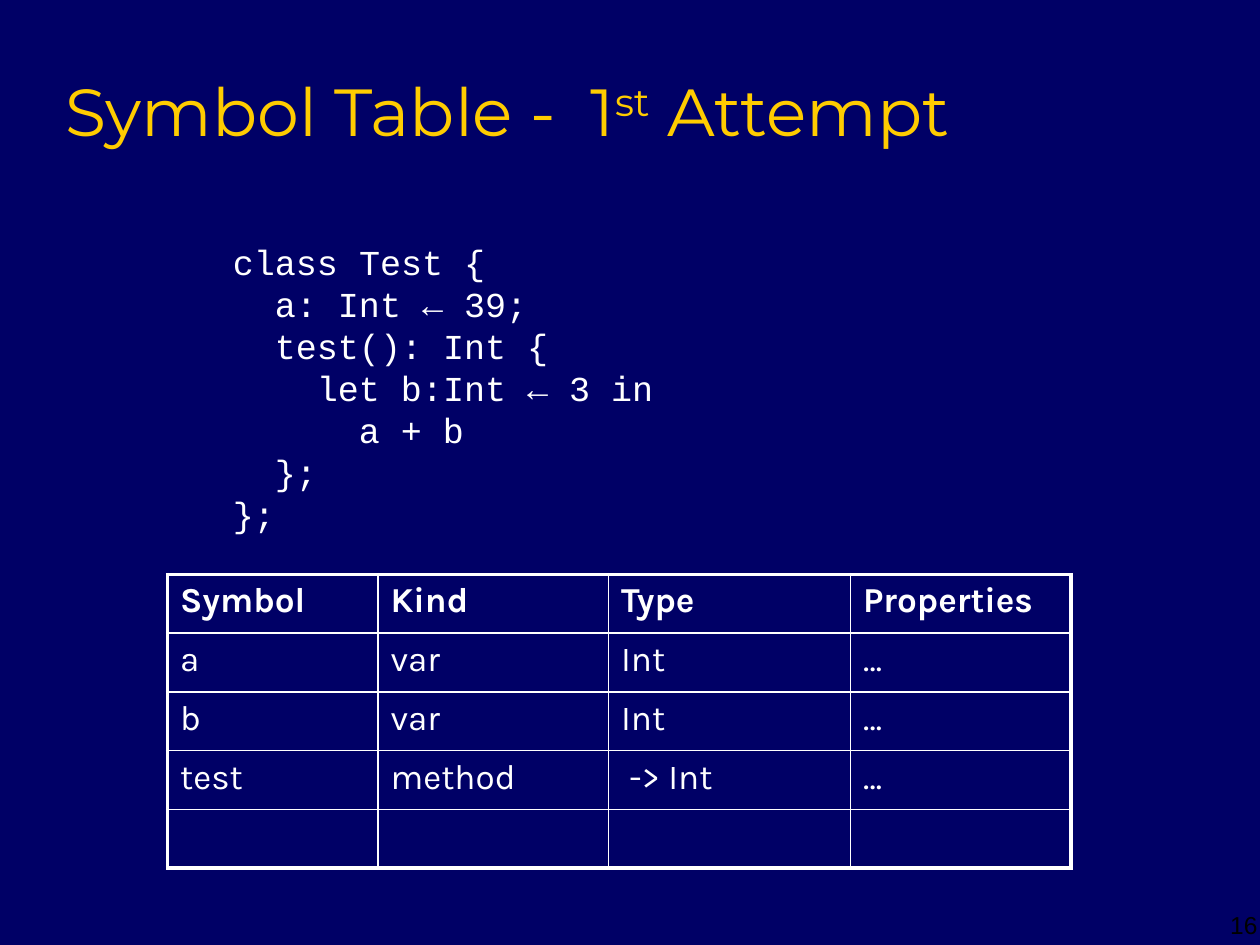
from lxml import etree
from pptx import Presentation
from pptx.dml.color import RGBColor
from pptx.enum.text import MSO_ANCHOR, PP_ALIGN
from pptx.oxml.ns import qn
from pptx.util import Inches, Pt

MIDDLE, TOP = MSO_ANCHOR.MIDDLE, MSO_ANCHOR.TOP
LEFT, RIGHT = PP_ALIGN.LEFT, PP_ALIGN.RIGHT

NAVY = RGBColor(0x00, 0x00, 0x66)
GOLD = RGBColor(0xFF, 0xCC, 0x00)
WHITE = RGBColor(0xFF, 0xFF, 0xFF)
BLACK = RGBColor(0x00, 0x00, 0x00)

# Boxes: left, top, width, height in inches
TITLE_BOX = (0.42, 0.25, 9.31, 1.25)
CODE_BOX = (1.75, 1.82, 6.08, 2.43)
TABLE_BOX = (1.33, 4.56, 7.17, 2.33)
NUMBER_BOX = (9.4, 7.2, 0.58, 0.28)

# Indent level and text of each line of code
CODE = [
    (0, "class Test {"),
    (1, "a: Int ← 39;"),
    (1, "test(): Int {"),
    (2, "let b:Int ← 3 in"),
    (3, "a + b"),
    (1, "};"),
    (0, "};"),
]
INDENT = Pt(24)  # two monospaced characters at 20 pt

COLUMN_WIDTHS = (1.67, 1.83, 1.92, 1.75)
SYMBOLS = [
    ("Symbol", "Kind", "Type", "Properties"),
    ("a", "var", "Int", "…"),
    ("b", "var", "Int", "…"),
    ("test", "method", " -> Int", "…"),
    ("", "", "", ""),
]
OUTER_LINE, INNER_LINE = Pt(2.25), Pt(1)


def add_run(paragraph, text, font_name, size, color, bold=False):
    run = paragraph.add_run()
    run.text = text
    run.font.name = font_name
    run.font.size = Pt(size)
    run.font.color.rgb = color
    run.font.bold = bold
    return run


def add_text_frame(slide, box, anchor=TOP):
    shape = slide.shapes.add_textbox(*map(Inches, box))
    frame = shape.text_frame
    frame.word_wrap = True
    frame.vertical_anchor = anchor
    return frame


def add_title(slide, box):
    paragraph = add_text_frame(slide, box, MIDDLE).paragraphs[0]
    paragraph.alignment = LEFT
    for text, baseline in (("Symbol Table -  1", 0), ("st", 30000), (" Attempt", 0)):
        run = add_run(paragraph, text, "Montserrat", 38, GOLD)
        if baseline:
            run.font._element.set("baseline", str(baseline))


def add_code(slide, box):
    frame = add_text_frame(slide, box)
    frame.margin_top = Inches(0.09)
    for index, (level, text) in enumerate(CODE):
        paragraph = frame.add_paragraph() if index else frame.paragraphs[0]
        paragraph.line_spacing = Pt(24)
        paragraph._p.get_or_add_pPr().set("marL", str(level * INDENT))
        add_run(paragraph, text, "Courier New", 20, WHITE)


def set_borders(cell, widths):
    """Draw white borders; widths maps an edge letter to a line width."""
    properties = cell._tc.get_or_add_tcPr()
    for position, (edge, width) in enumerate(widths.items()):
        line = etree.Element(qn(f"a:ln{edge}"), w=str(width))
        fill = etree.SubElement(line, qn("a:solidFill"))
        etree.SubElement(fill, qn("a:srgbClr"), val=str(WHITE))
        properties.insert(position, line)


def add_symbol_table(slide, box):
    last_row, last_column = len(SYMBOLS) - 1, len(COLUMN_WIDTHS) - 1
    frame = slide.shapes.add_table(last_row + 1, last_column + 1, *map(Inches, box))
    table = frame.table
    table.first_row = table.horz_banding = False
    for column, width in zip(table.columns, COLUMN_WIDTHS):
        column.width = Inches(width)
    for row_index, texts in enumerate(SYMBOLS):
        for column_index, text in enumerate(texts):
            cell = table.cell(row_index, column_index)
            cell.fill.background()
            outer_edges = {
                "L": column_index == 0,
                "R": column_index == last_column,
                "T": row_index == 0,
                "B": row_index == last_row,
            }
            set_borders(cell, {edge: OUTER_LINE if outer else INNER_LINE
                               for edge, outer in outer_edges.items()})
            if text:
                paragraph = cell.text_frame.paragraphs[0]
                paragraph.space_before = Pt(4)
                add_run(paragraph, text, "Karla", 20, WHITE, bold=row_index == 0)


def add_slide_number(slide, box):
    frame = add_text_frame(slide, box, MIDDLE)
    frame.margin_left = frame.margin_right = 0
    frame.margin_top = frame.margin_bottom = 0
    paragraph = frame.paragraphs[0]
    paragraph.alignment = RIGHT
    add_run(paragraph, "16", "Arial", 14, BLACK)


def main():
    presentation = Presentation()
    presentation.slide_width, presentation.slide_height = Inches(10), Inches(7.5)
    slide = presentation.slides.add_slide(presentation.slide_layouts[6])
    slide.background.fill.solid()
    slide.background.fill.fore_color.rgb = NAVY

    add_title(slide, TITLE_BOX)
    add_symbol_table(slide, TABLE_BOX)
    add_code(slide, CODE_BOX)
    add_slide_number(slide, NUMBER_BOX)
    presentation.save("out.pptx")


if __name__ == "__main__":
    main()
